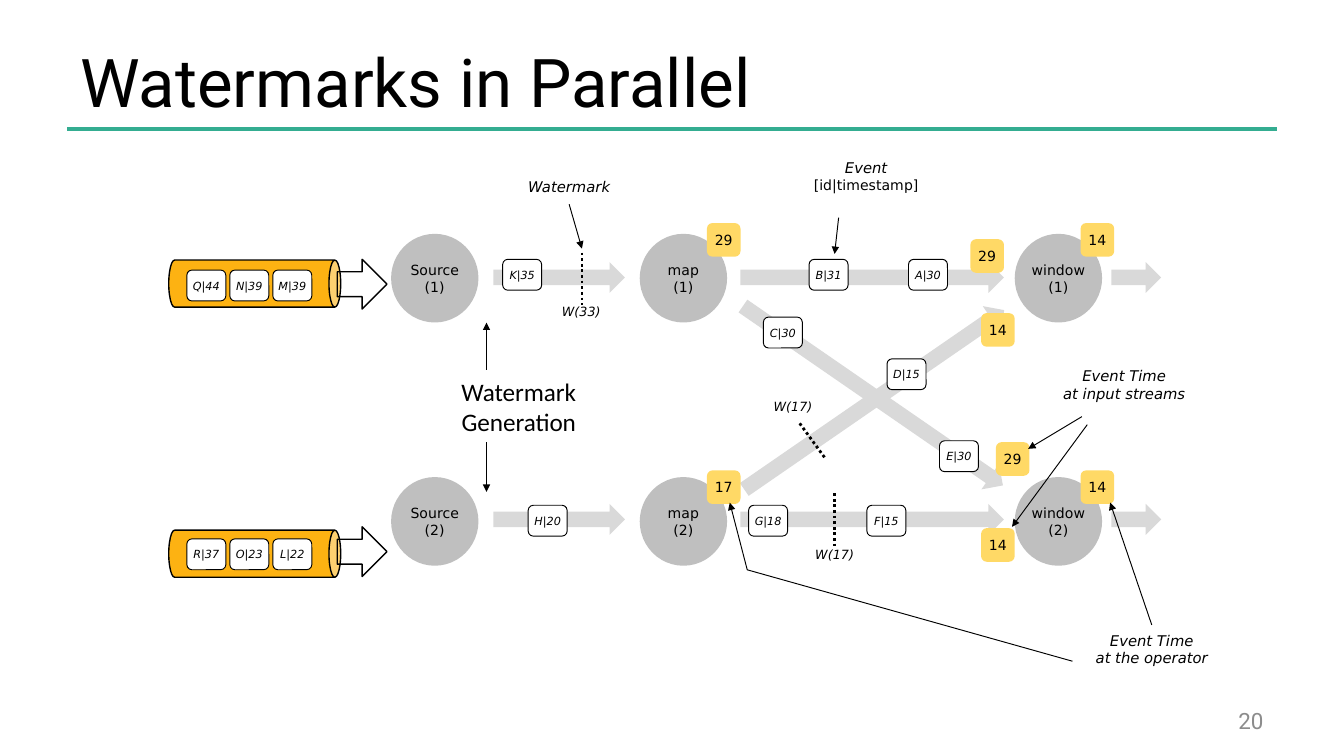
from lxml import etree
from pptx import Presentation
from pptx.dml.color import RGBColor
from pptx.enum.dml import MSO_LINE
from pptx.enum.shapes import MSO_CONNECTOR, MSO_SHAPE
from pptx.enum.text import MSO_ANCHOR, MSO_AUTO_SIZE, PP_ALIGN
from pptx.oxml.ns import qn
from pptx.util import Inches, Pt

STRAIGHT = MSO_CONNECTOR.STRAIGHT
CIRCLE, ROUNDED = MSO_SHAPE.OVAL, MSO_SHAPE.ROUNDED_RECTANGLE
ARROW, CAN = MSO_SHAPE.RIGHT_ARROW, MSO_SHAPE.CAN
DOTTED = MSO_LINE.ROUND_DOT
LEFT, CENTER, RIGHT = PP_ALIGN.LEFT, PP_ALIGN.CENTER, PP_ALIGN.RIGHT
TOP, MIDDLE = MSO_ANCHOR.TOP, MSO_ANCHOR.MIDDLE
FIXED, GROW = MSO_AUTO_SIZE.NONE, MSO_AUTO_SIZE.SHAPE_TO_FIT_TEXT

THEME = {
    "heading": "Roboto", "diagram": "DejaVu Sans", "body": "Calibri",
    "ink": "000000", "rule": "34AD91", "page": "8C8C8C", "operator": "BFBFBF",
    "stream": "D9D9D9", "clock": "FFD966", "queue": "FDB212", "event": "FFFFFF",
    "title_pt": 36, "page_pt": 12, "generation_pt": 13.5, "callout_pt": 7.9,
    "node_pt": 7.5, "mark_pt": 6.8, "event_pt": 6,
    "thin": 0.5, "outline": 0.75, "dots": 1.5, "rule_pt": 2,
}

# Content: positions in inches
OPERATORS = [("Source", 2.91), ("map", 4.76), ("window", 7.55)]
OPERATOR_TOPS = [1.74, 3.55]
STREAMS = [(3.67, 0.98), (5.51, 1.96), (8.27, 0.37)]  # left, width
STREAM_TOPS = [1.95, 3.75]
CROSSINGS = [(5.32, 2.83, 34.6), (5.33, 2.86, -34.6)]  # left, top, rotation
CLOCKS = [("29", 5.26, 1.66), ("29", 7.22, 1.78), ("17", 5.26, 3.5), ("14", 7.3, 2.33),
          ("14", 7.3, 3.93), ("29", 7.41, 3.29), ("14", 8.04, 3.5), ("14", 8.04, 1.66)]
EVENTS = [("A|30", 6.76, 1.93), ("B|31", 6.02, 1.93), ("C|30", 5.68, 2.36),
          ("D|15", 6.6, 2.67), ("E|30", 6.99, 3.28), ("F|15", 6.45, 3.76),
          ("G|18", 5.57, 3.76), ("H|20", 3.93, 3.76), ("K|35", 3.74, 1.93)]
QUEUES = [  # can top, outlet top, event top, queued events
    (1.47, 1.93, 2.01, ["Q|44", "N|39", "M|39"]),
    (3.48, 3.92, 4.01, ["R|37", "O|23", "L|22"]),
]
WATERMARKS = [  # text, label box, dotted line
    ("W(33)", (4.04, 2.21, 0.57, 0.23), (4.33, 1.88, 4.33, 2.27)),
    ("W(17)", (5.59, 2.92, 0.62, 0.23), (5.95, 3.15, 6.14, 3.41)),
    ("W(17)", (5.9, 4.02, 0.62, 0.23), (6.21, 3.67, 6.21, 4.06)),
]
POINTERS = [(6.24, 1.62, 6.21, 1.89), (8.09, 3.16, 7.53, 3.92), (8.05, 3.1, 7.65, 3.34),
            (3.62, 3.29, 3.62, 3.66), (3.62, 2.75, 3.62, 2.4)]
BENT_POINTER = [(7.98, 4.92), (5.56, 4.24), (5.43, 3.74)]

prs = Presentation()
prs.slide_width = Inches(10)
prs.slide_height = prs.slide_width * 9 // 16
slide = prs.slides.add_slide(prs.slide_layouts[6])
shapes = slide.shapes


def color(name):
    return RGBColor.from_string(THEME[name])


def write(frame, lines, size, font="diagram", ink="ink", align=CENTER,
          anchor=MIDDLE, italic=False, wrap=False, fit=FIXED):
    frame.word_wrap = wrap
    frame.auto_size = fit
    frame.vertical_anchor = anchor
    for i, line in enumerate(lines):
        paragraph = frame.paragraphs[0] if i == 0 else frame.add_paragraph()
        paragraph.text = line
        paragraph.alignment = align
        paragraph.font.name = THEME[font]
        paragraph.font.size = Pt(THEME[size])
        paragraph.font.italic = italic
        paragraph.font.color.rgb = color(ink)


def label(box, lines, size, **style):
    text = shapes.add_textbox(*map(Inches, box))
    write(text.text_frame, lines, size, **{"anchor": TOP, "fit": GROW, **style})
    return text


def block(kind, box, fill=None, outline=None, rotation=0):
    part = shapes.add_shape(kind, *map(Inches, box))
    part.shadow.inherit = False
    part.rotation = rotation
    if fill:
        part.fill.solid()
        part.fill.fore_color.rgb = color(fill)
    else:
        part.fill.background()
    if outline:
        part.line.color.rgb = color("ink")
        part.line.width = Pt(THEME[outline])
    else:
        part.line.fill.background()
    return part


def node(kind, box, text, fill, size, outline=None, italic=False):
    frame = block(kind, box, fill, outline).text_frame
    frame.margin_left = frame.margin_right = frame.margin_top = frame.margin_bottom = 0
    write(frame, [text], size, italic=italic)


def event(text, left, top):
    node(ROUNDED, (left, top, 0.29, 0.23), text, "event", "event_pt", "thin", True)


def add_head(line):
    etree.SubElement(line.get_or_add_ln(), qn("a:tailEnd"), type="triangle", w="sm", len="sm")


def connect(ends, width="thin", ink="ink", dash=None, head=False):
    line = shapes.add_connector(STRAIGHT, *map(Inches, ends))
    line.line.color.rgb = color(ink)
    line.line.width = Pt(THEME[width])
    if dash:
        line.line.dash_style = dash
    if head:
        add_head(line)
    etree.SubElement(line._element.spPr, qn("a:effectLst"))
    return line


# Title, rule and page number
connect((0.5, 0.96, 9.5, 0.96), "rule_pt", "rule")
label((0.5, 0.23, 8.17, 0.74), ["Watermarks in Parallel"], "title_pt", font="heading",
      align=LEFT, anchor=MIDDLE, wrap=True, fit=FIXED)
label((7.17, 5.21, 2.33, 0.3), ["20"], "page_pt", font="heading", ink="page",
      align=RIGHT, anchor=MIDDLE, wrap=True, fit=FIXED)

# Operators and the streams between them
for number, top in enumerate(OPERATOR_TOPS, 1):
    for name, left in OPERATORS:
        node(CIRCLE, (left, top, 0.65, 0.66), f"{name}\n({number})", "operator", "node_pt")
for top in STREAM_TOPS:
    for left, width in STREAMS:
        block(ARROW, (left, top, width, 0.23), "stream")
for left, top, rotation in CROSSINGS:
    block(ARROW, (left, top, 2.35, 0.23), "stream", rotation=rotation)

# Event-time clocks, watermarks and events in flight
for text, left, top in CLOCKS:
    node(ROUNDED, (left, top, 0.25, 0.25), text, "clock", "node_pt")
for text, box, ends in WATERMARKS:
    connect(ends, "dots", dash=DOTTED)
    label(box, [text], "mark_pt", italic=True)
for text, left, top in EVENTS:
    event(text, left, top)

# Input queues
for can_top, outlet_top, event_top, queued in QUEUES:
    block(CAN, (1.72, can_top, 0.35, 1.28), "queue", "outline", rotation=90)
    block(ARROW, (2.51, outlet_top, 0.37, 0.37), outline="outline")
    for i, text in enumerate(queued):
        event(text, 1.39 + 0.32 * i, event_top)

# Callouts
watermark = label((3.77, 1.27, 0.93, 0.25), ["Watermark"], "callout_pt", italic=True)
operator_time = label((7.98, 4.65, 1.18, 0.4), ["Event Time", "at the operator"],
                      "callout_pt", italic=True)
label((7.73, 2.68, 1.27, 0.4), ["Event Time", "at input streams"], "callout_pt", italic=True)
event_key = label((5.88, 1.13, 1.13, 0.39), ["Event", "[id|timestamp]"],
                  "callout_pt", italic=True)
id_format = event_key.text_frame.paragraphs[1].font
id_format.italic, id_format.size = False, Pt(THEME["node_pt"])
label((3.17, 2.75, 1.38, 0.6), ["Watermark\nGeneration"], "generation_pt",
      font="body", wrap=True)

# Pointers
for ends in POINTERS:
    connect(ends, head=True)
connect((4.23, 1.52, 4.33, 1.85), head=True).begin_connect(watermark, 2)
connect((8.57, 4.65, 8.26, 3.74), head=True).begin_connect(operator_time, 0)
start, *corners = [(Inches(x), Inches(y)) for x, y in BENT_POINTER]
path_builder = shapes.build_freeform(*start)
path_builder.add_line_segments(corners, close=False)
bent_pointer = path_builder.convert_to_shape()
bent_pointer.shadow.inherit = False
bent_pointer.fill.background()
bent_pointer.line.color.rgb = color("ink")
bent_pointer.line.width = Pt(THEME["thin"])
add_head(bent_pointer)

prs.save("out.pptx")
